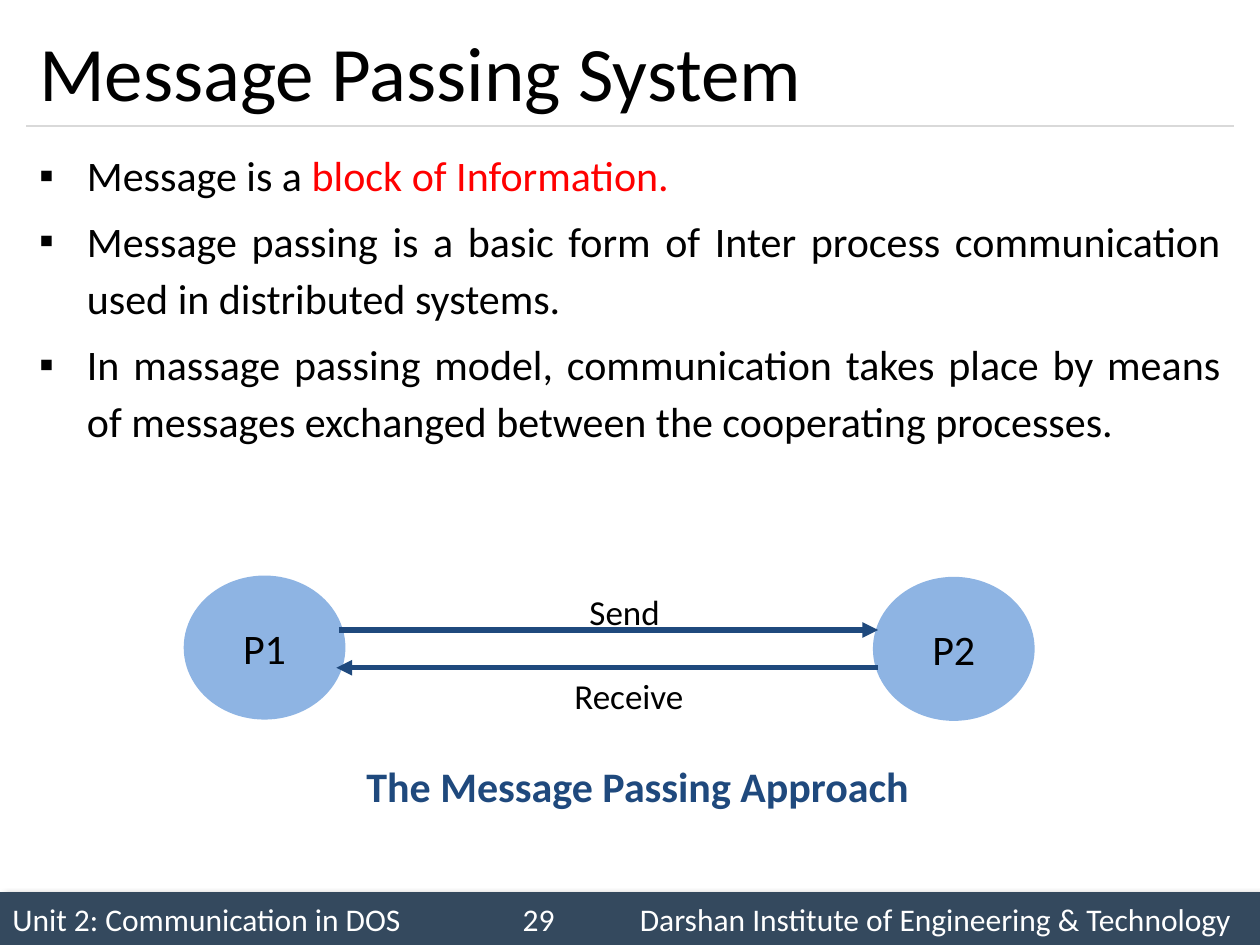
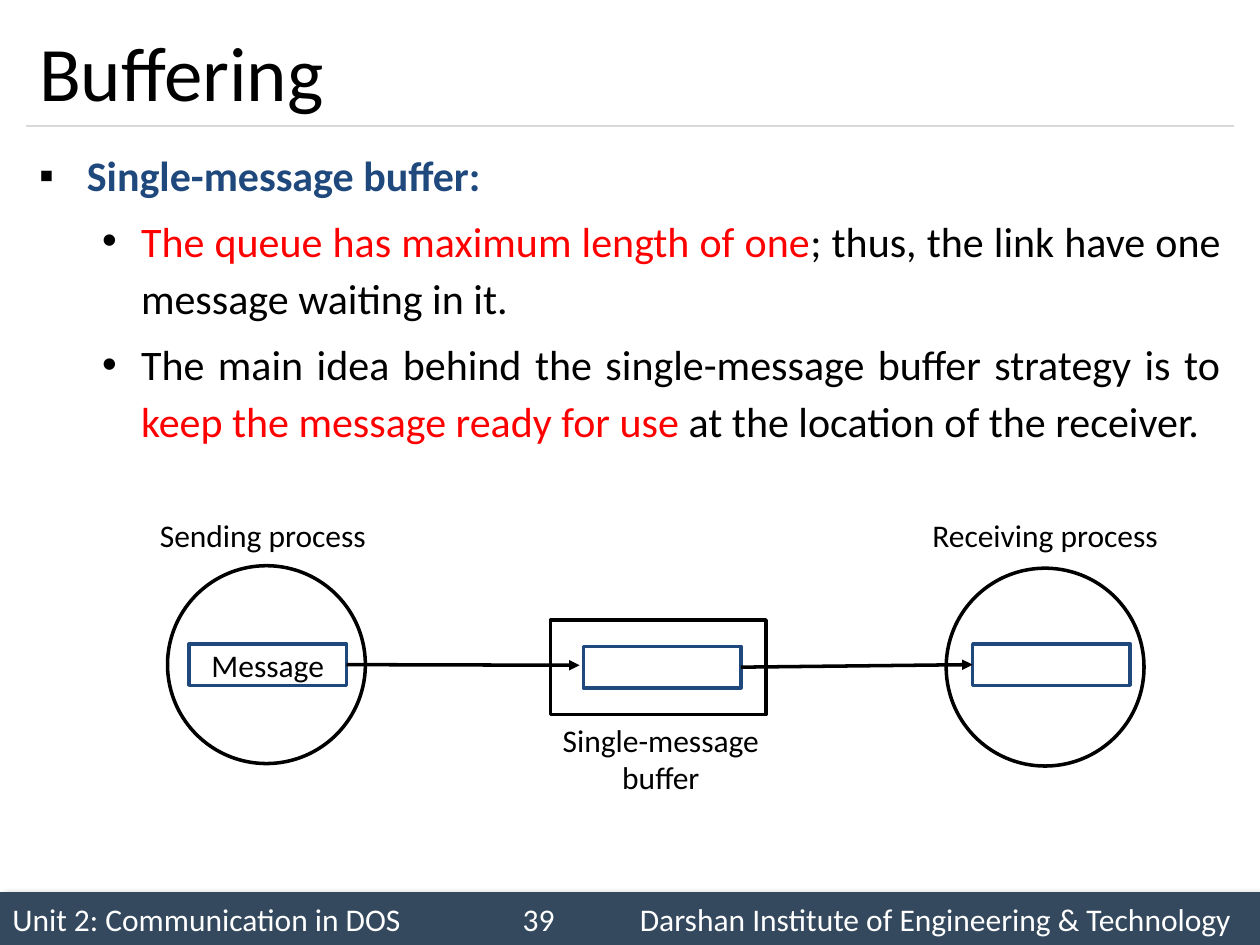
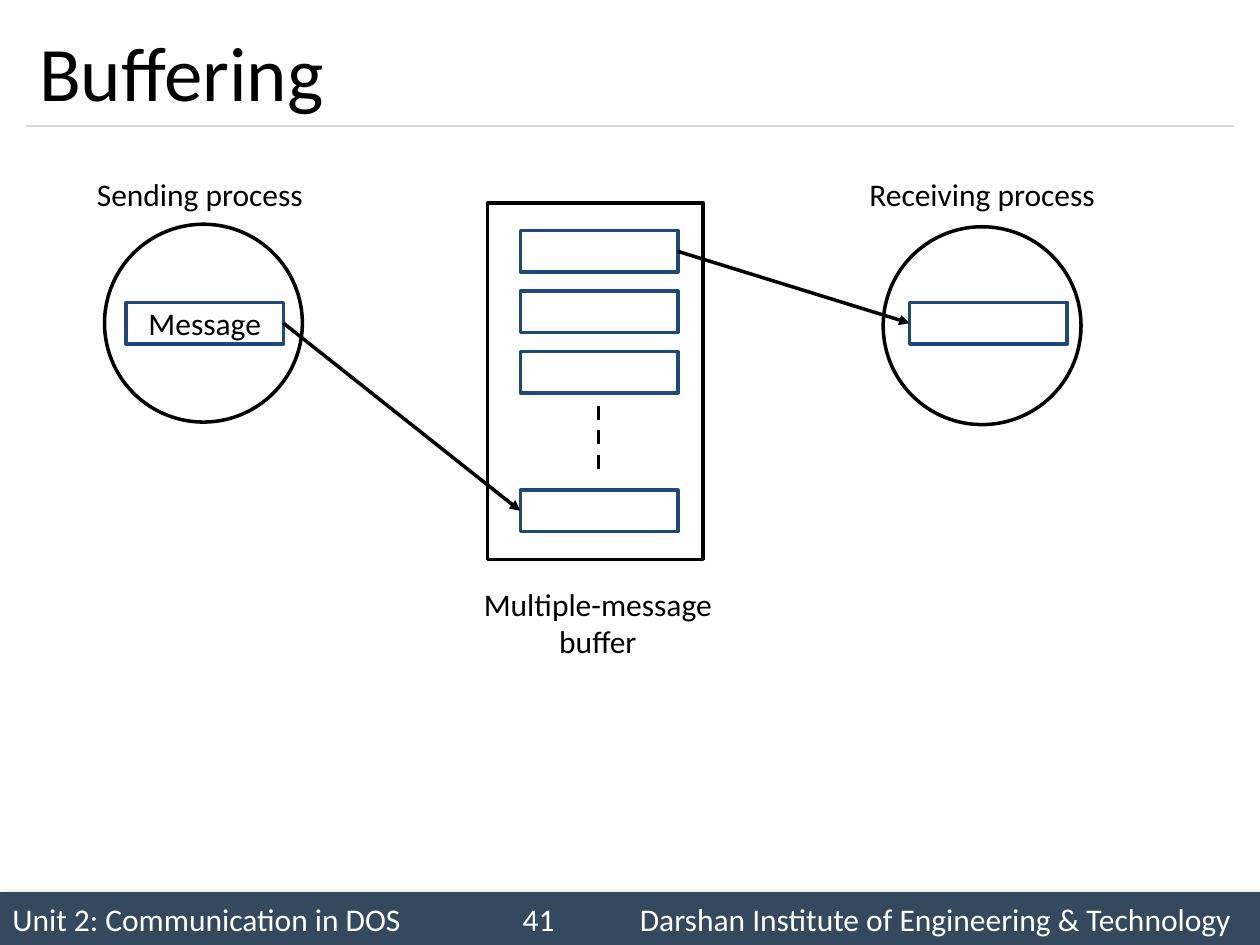
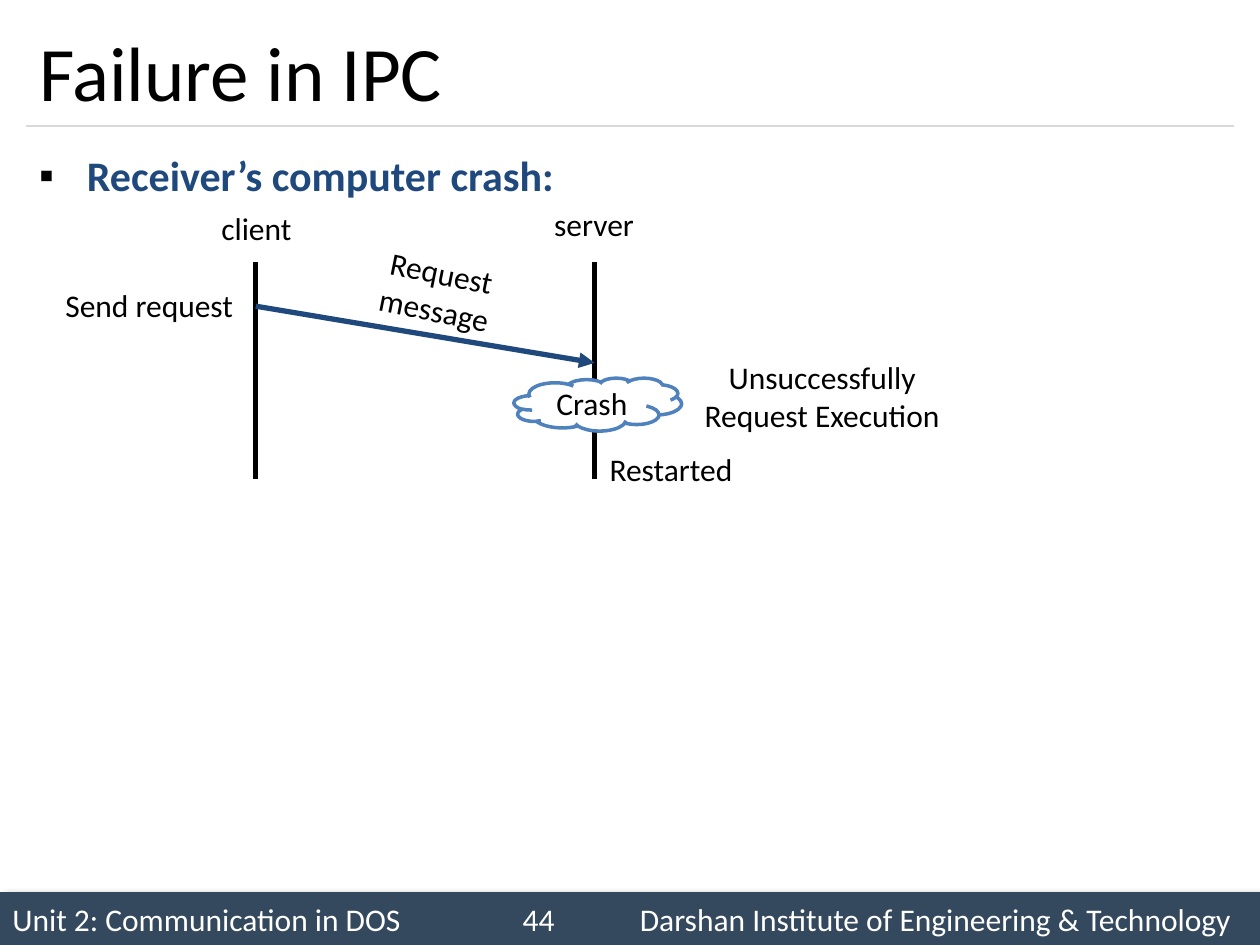
from pptx import Presentation
from pptx.dml.color import RGBColor
from pptx.enum.dml import MSO_LINE
from pptx.enum.shapes import MSO_CONNECTOR, MSO_SHAPE
from pptx.enum.text import MSO_ANCHOR, MSO_AUTO_SIZE, PP_ALIGN
from pptx.oxml.ns import qn
from pptx.util import Inches, Pt
from lxml.etree import SubElement

BLACK = RGBColor(0x00, 0x00, 0x00)
WHITE = RGBColor(0xFF, 0xFF, 0xFF)
RED = RGBColor(0xFF, 0x00, 0x00)
NAVY = RGBColor(0x1F, 0x49, 0x7D)
BLUE = RGBColor(0x4F, 0x81, 0xBD)
SKY = RGBColor(0x8E, 0xB4, 0xE3)
SLATE = RGBColor(0x34, 0x49, 0x5E)
GREY = RGBColor(0xD9, 0xD9, 0xD9)
FONT = "Calibri"
UNIT = "Unit 2: Communication in DOS"
INSTITUTE = "Darshan Institute of Engineering & Technology"
LINE_SPACING = 1.14
SLOT_W, SLOT_H = 1.25, 0.33
CIRCLE = 1.57
BULLETS = [("▪", 0.38, -0.38), ("•", 0.81, -0.31)]


def place(sp, x, y, w, h):
    sp.left, sp.top, sp.width, sp.height = (Inches(v) for v in (x, y, w, h))


def format_run(r, size, color=BLACK, bold=False):
    r.font.name = FONT
    r.font.size = Pt(size)
    r.font.bold = bold
    r.font.color.rgb = color


def write(sp, text, size=18, color=BLACK, align=PP_ALIGN.CENTER, bold=False):
    tf = sp.text_frame
    tf.word_wrap = True
    tf.text = text
    p = tf.paragraphs[0]
    p.alignment = align
    format_run(p.runs[0], size, color, bold)
    return p


def add_label(s, text, x, y, w, h=0.4, align=PP_ALIGN.CENTER, **style):
    sp = s.shapes.add_textbox(Inches(x), Inches(y), Inches(w), Inches(h))
    write(sp, text, align=align, **style)
    return sp


def add_box(s, kind, x, y, w, h, line=BLACK, fill=WHITE, weight=2, text=None, size=18):
    sp = s.shapes.add_shape(kind, Inches(x), Inches(y), Inches(w), Inches(h))
    sp.shadow.inherit = False
    sp.fill.solid()
    sp.fill.fore_color.rgb = fill
    sp.line.color.rgb = line
    sp.line.width = Pt(weight)
    if text:
        write(sp, text, size)
        sp.text_frame.vertical_anchor = MSO_ANCHOR.MIDDLE
    return sp


def add_line(s, x1, y1, x2, y2, color=BLACK, weight=2, arrow=False):
    c = s.shapes.add_connector(MSO_CONNECTOR.STRAIGHT, Inches(x1), Inches(y1), Inches(x2), Inches(y2))
    c.line.color.rgb = color
    c.line.width = Pt(weight)
    if arrow:
        SubElement(c.line._get_or_add_ln(), qn("a:tailEnd"), type="triangle")
    SubElement(c._element.spPr, qn("a:effectLst"))
    return c


def join(s, start, end):
    c = add_line(s, 0, 0, 1, 1, arrow=True)
    c.begin_connect(start, 3)
    c.end_connect(end, 1)


def add_footer(s, number):
    sp = add_box(s, MSO_SHAPE.RECTANGLE, 0, 7.08, 10, 0.42, fill=SLATE)
    sp.line.fill.background()
    effects = sp._element.spPr.find(qn("a:effectLst"))
    shadow = SubElement(effects, qn("a:outerShdw"), blurRad=str(Pt(4)), dist=str(Pt(3)), dir="2700000")
    color = SubElement(shadow, qn("a:srgbClr"), val=str(BLACK))
    SubElement(color, qn("a:alpha"), val="40000")
    p = write(sp, f"{UNIT}\t{number}\t{INSTITUTE}", color=WHITE, align=PP_ALIGN.LEFT)
    sp.text_frame.vertical_anchor = MSO_ANCHOR.MIDDLE
    tabs = SubElement(p._p.get_or_add_pPr(), qn("a:tabLst"))
    for pos in (4.05, 4.98):
        SubElement(tabs, qn("a:tab"), pos=str(Inches(pos)), algn="l")


def add_slide(prs, title, number, has_body=True):
    s = prs.slides.add_slide(prs.slide_layouts[1 if has_body else 5])
    add_footer(s, number)
    add_line(s, 0.21, 1, 9.79, 1, GREY, 0.75)
    sp = s.shapes.title
    place(sp, 0.21, 0.12, 9.58, 0.88)
    write(sp, title, 44, align=PP_ALIGN.LEFT)
    sp.text_frame.auto_size = MSO_AUTO_SIZE.NONE
    sp.text_frame.vertical_anchor = MSO_ANCHOR.MIDDLE
    return s


def set_bullet(p, level):
    char, margin, indent = BULLETS[level]
    p.level = level
    pPr = p._p.get_or_add_pPr()
    pPr.set("marL", str(Inches(margin)))
    pPr.set("indent", str(Inches(indent)))
    color = SubElement(pPr, qn("a:buClr"))
    SubElement(color, qn("a:srgbClr"), val=str(BLACK))
    SubElement(pPr, qn("a:buFont"), typeface="Arial")
    SubElement(pPr, qn("a:buChar"), char=char)


def fill_body(s, height, items):
    sp = s.placeholders[1]
    place(sp, 0.21, 1.08, 9.58, height)
    tf = sp.text_frame
    tf.auto_size = MSO_AUTO_SIZE.NONE
    for i, (level, parts) in enumerate(items):
        p = tf.add_paragraph() if i else tf.paragraphs[0]
        set_bullet(p, level)
        p.alignment = PP_ALIGN.JUSTIFY
        p.line_spacing = LINE_SPACING
        p.space_before = Pt(4.8 if i else 0)
        for text, color in parts:
            r = p.add_run()
            r.text = text
            format_run(r, 24, color, bold=color == NAVY)


def add_slot(s, x, y, text=None):
    return add_box(s, MSO_SHAPE.RECTANGLE, x, y, SLOT_W, SLOT_H, NAVY, text=text)


def draw_processes(s, x, y):
    add_box(s, MSO_SHAPE.OVAL, x + 0.16, y + 0.44, CIRCLE, CIRCLE)
    message = add_slot(s, x + 0.33, y + 1.06, "Message")
    add_box(s, MSO_SHAPE.OVAL, x + 6.34, y + 0.46, CIRCLE, CIRCLE)
    received = add_slot(s, x + 6.55, y + 1.06)
    add_label(s, "Sending process", x, y, 1.91, align=PP_ALIGN.LEFT)
    add_label(s, "Receiving process", x + 5.92, y, 2.41)
    return message, received


def draw_buffer(s, x, y, h, slot_tops, caption, gap):
    add_box(s, MSO_SHAPE.RECTANGLE, x, y, 1.71, h)
    add_label(s, caption, x - 0.33, y + h + gap, 2.41, 0.71)
    return [add_slot(s, x + 0.26, y + top) for top in slot_tops]


def draw_message_passing(s, x, y):
    for name, dx, dy in (("P1", 0, 0), ("P2", 5.47, 0.01)):
        add_box(s, MSO_SHAPE.OVAL, x + dx, y + dy, 1.2, 1.06, SKY, SKY, 6, name, 24)
    add_line(s, x + 1.19, y + 0.39, x + 5.47, y + 0.39, NAVY, 3, True)
    add_line(s, x + 5.47, y + 0.69, x + 1.17, y + 0.69, NAVY, 3, True)
    labels = [
        add_label(s, "The Message Passing Approach", x + 1.31, y + 1.32, 4.76, 0.48,
                  PP_ALIGN.JUSTIFY, size=24, color=NAVY, bold=True),
        add_label(s, "Send", x + 3.08, y - 0.02, 0.79, 0.41, PP_ALIGN.JUSTIFY, size=20),
        add_label(s, "Receive", x + 2.96, y + 0.65, 1.12, 0.41, PP_ALIGN.JUSTIFY, size=20),
    ]
    for sp in labels:
        sp.text_frame.paragraphs[0].line_spacing = LINE_SPACING


def draw_crash_timeline(s, x, y):
    server = x + 2.69
    for line_x in (x, server):
        add_line(s, line_x, y, line_x, y + 1.72, weight=3)
    add_line(s, x, y + 0.35, server, y + 0.8, NAVY, 3, True)
    add_label(s, "client", x - 0.7, y - 0.47, 1.41)
    add_label(s, "server", server - 0.71, y - 0.5, 1.41)
    add_label(s, "Request message", x + 0.58, y - 0.12, 1.73, 0.71).rotation = 11.4
    add_label(s, "Send request", x - 1.61, y + 0.14, 2.02, align=PP_ALIGN.LEFT)
    add_box(s, MSO_SHAPE.CLOUD, server - 0.64, y + 0.92, 1.33, 0.42, BLUE, text="Crash")
    add_label(s, "Unsuccessfully Request Execution", server + 0.57, y + 0.71, 2.47, 0.71)
    add_label(s, "Restarted", server - 0.38, y + 1.44, 1.97)


def message_passing_slide(prs):
    s = add_slide(prs, "Message Passing System", 29)
    fill_body(s, 3.25, [
        (0, [("Message is a ", BLACK), ("block of Information.", RED)]),
        (0, [("Message passing is a basic form of Inter process communication used in "
              "distributed systems.", BLACK)]),
        (0, [("In massage passing model, communication takes place by means of messages "
              "exchanged between the cooperating processes.", BLACK)]),
    ])
    draw_message_passing(s, 1.5, 4.61)


def single_buffer_slide(prs):
    s = add_slide(prs, "Buffering", 39)
    fill_body(s, 5.83, [
        (0, [("Single-message buffer:", NAVY)]),
        (1, [("The queue has maximum length of one", RED),
             ("; thus, the link have one message waiting in it.", BLACK)]),
        (1, [("The main idea behind the single-message buffer strategy is to ", BLACK),
             ("keep the message ready for use ", RED),
             ("at the location of the receiver.", BLACK)]),
    ])
    message, received = draw_processes(s, 1.17, 4.05)
    slot, = draw_buffer(s, 4.37, 4.92, 0.75, [0.21], "Single-message buffer", 0)
    add_line(s, 2.75, 5.28, 4.6, 5.28, arrow=True).begin_connect(message, 3)
    join(s, slot, received)


def multiple_buffer_slide(prs):
    s = add_slide(prs, "Buffering", 41, has_body=False)
    message, received = draw_processes(s, 0.67, 1.34)
    tops = [0.22 + 0.48 * i for i in range(3)] + [2.28]
    slots = draw_buffer(s, 3.87, 1.61, 2.83, tops, "Multiple-message buffer", 0.15)
    join(s, message, slots[-1])
    join(s, slots[0], received)
    add_line(s, 4.75, 3.22, 4.75, 3.8).line.dash_style = MSO_LINE.DASH


def crash_slide(prs):
    s = add_slide(prs, "Failure in IPC", 44)
    fill_body(s, 2.83, [(0, [("Receiver’s computer crash:", NAVY)])])
    draw_crash_timeline(s, 2.03, 2.08)


def main():
    prs = Presentation()
    prs.slide_width, prs.slide_height = Inches(10), Inches(7.5)
    message_passing_slide(prs)
    single_buffer_slide(prs)
    multiple_buffer_slide(prs)
    crash_slide(prs)
    prs.save("out.pptx")


if __name__ == "__main__":
    main()
